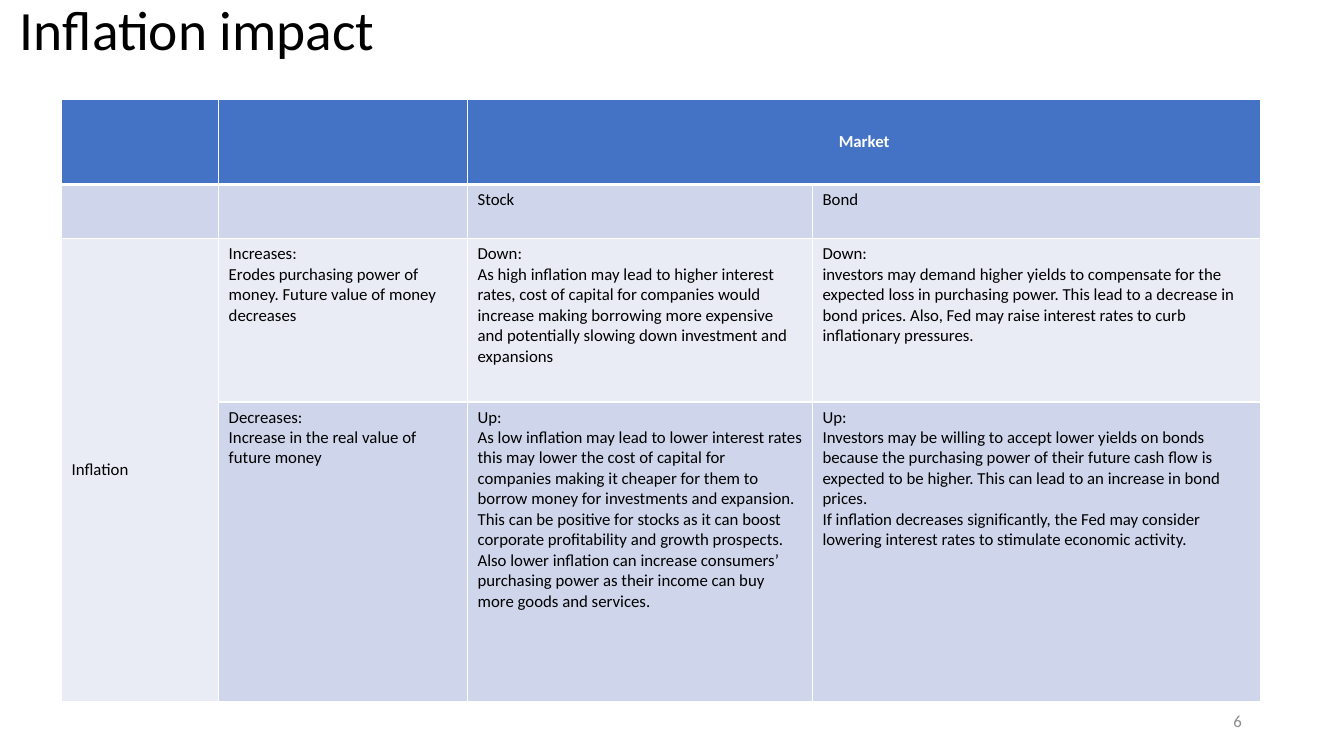
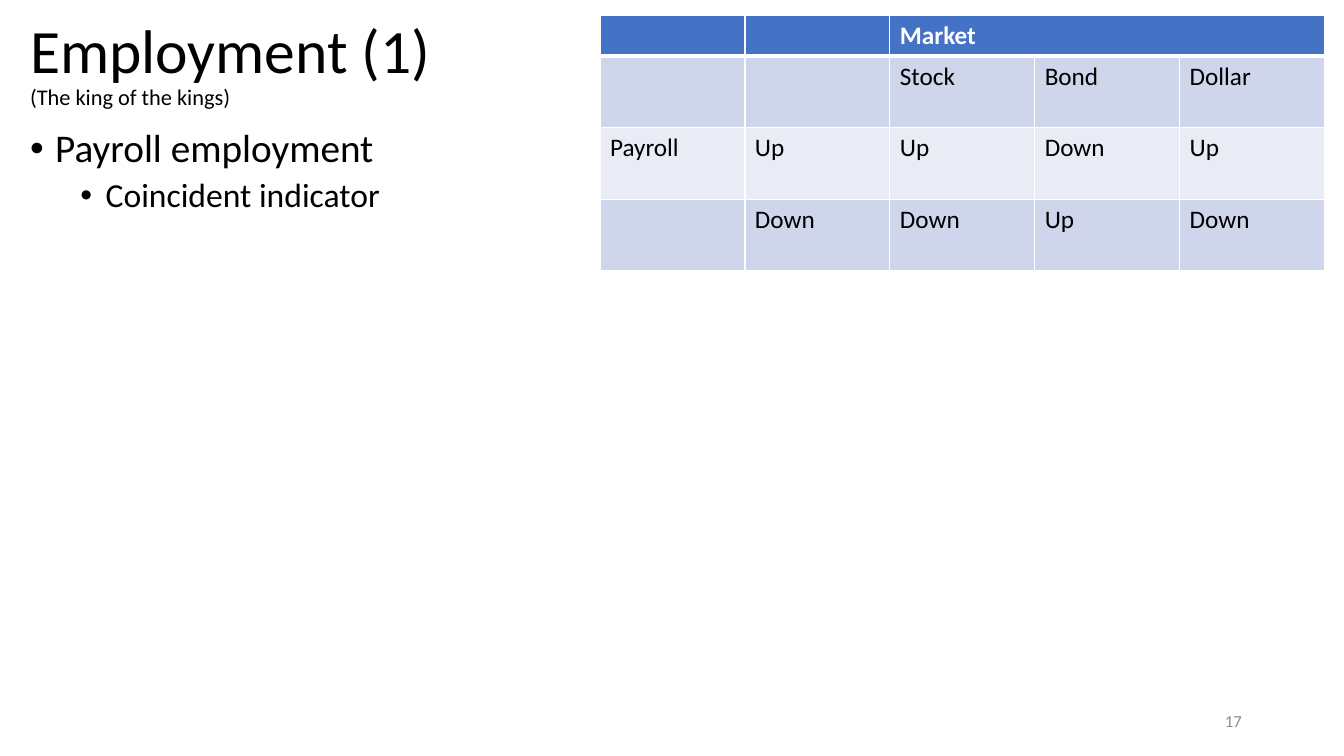
from lxml.etree import SubElement
from pptx import Presentation
from pptx.dml.color import RGBColor
from pptx.enum.text import MSO_ANCHOR, PP_ALIGN
from pptx.oxml.ns import qn
from pptx.util import Pt


class Deck:
    """Holds the shared style and the slide being built."""

    font = "Calibri"
    tint = {"ink": "000000", "paper": "FFFFFF", "head": "4472C4",
            "dark": "CFD5EA", "light": "E9EBF5", "grey": "8C8C8C"}

    def __init__(self):
        self.deck = Presentation()
        self.deck.slide_width, self.deck.slide_height = Pt(960), Pt(540)
        self.slide = None

    def start(self, page):
        self.slide = self.deck.slides.add_slide(self.deck.slide_layouts[6])
        frame = self.box(678.2, 500.4, 216, 28.8, MSO_ANCHOR.MIDDLE)
        para = frame.paragraphs[0]
        para.alignment = PP_ALIGN.RIGHT
        self.run(para, page, 12, "grey")

    def box(self, left, top, width, height, anchor):
        shape = self.slide.shapes.add_textbox(Pt(left), Pt(top), Pt(width), Pt(height))
        frame = shape.text_frame
        frame.word_wrap = True
        frame.vertical_anchor = anchor
        return frame

    def run(self, para, text, size, tone="ink", bold=False):
        run = para.add_run()
        run.text = text
        run.font.name, run.font.size, run.font.bold = self.font, Pt(size), bold
        run.font.color.rgb = RGBColor.from_string(self.tint[tone])

    def title(self, text, size, place, sub=None):
        para = self.box(*place, MSO_ANCHOR.MIDDLE).paragraphs[0]
        para.line_spacing = 0.9
        self.run(para, text, size)
        if sub:
            para.add_line_break()
            self.run(para, sub, 16)

    def bullets(self, items, place):
        frame = self.box(*place, MSO_ANCHOR.TOP)
        for rank, (text, level, size) in enumerate(items):
            para = frame.add_paragraph() if rank else frame.paragraphs[0]
            para.level = level
            props = para._p.get_or_add_pPr()
            props.set("marL", str(Pt(18 + 36 * level)))
            props.set("indent", str(Pt(-18)))
            SubElement(props, qn("a:buFont"), typeface="Arial")
            SubElement(props, qn("a:buChar"), char="•")
            para.line_spacing = 0.9
            if rank:
                para.space_before = Pt(5)
            self.run(para, text, size)

    def edges(self, cell, row):
        props = cell._tc.get_or_add_tcPr()
        thick = {("B", 0), ("T", 1)}
        for side in "LRTB":
            width = Pt(3 if (side, row) in thick else 1)
            line = SubElement(props, qn("a:ln" + side), w=str(width))
            fill = SubElement(line, qn("a:solidFill"))
            SubElement(fill, qn("a:srgbClr"), val=self.tint["paper"])

    def table(self, rows, left, top, wide, high, size, spans, mid=()):
        shape = self.slide.shapes.add_table(
            len(high), len(wide), Pt(left), Pt(top), Pt(sum(wide)), Pt(sum(high)))
        grid = shape.table
        grid.first_row = grid.horz_banding = False
        for col, width in zip(grid.columns, wide):
            col.width = Pt(width)
        for line, height in zip(grid.rows, high):
            line.height = Pt(height)
        for y, texts in enumerate(rows):
            tone = "head" if y == 0 else "dark" if y % 2 else "light"
            for x, text in enumerate(texts):
                cell = grid.cell(y, x)
                self.edges(cell, y)
                cell.fill.solid()
                cell.fill.fore_color.rgb = RGBColor.from_string(self.tint[tone])
                if (y, x) in mid:
                    cell.vertical_anchor = MSO_ANCHOR.MIDDLE
                self.words(cell.text_frame, text, size, y == 0)
        for first, last in spans:
            grid.cell(*first).merge(grid.cell(*last))
        return grid

    def words(self, frame, text, size, head):
        for rank, part in enumerate(text.split("\n") if text else []):
            para = frame.add_paragraph() if rank else frame.paragraphs[0]
            self.run(para, part, size, "paper" if head else "ink", head)


def prices(deck):
    deck.start("6")
    deck.title("Inflation impact", 39.6, (7.2, 5, 828, 36))
    rows = [
        ["", "", "Market", ""],
        ["", "", "Stock", "Bond"],
        ["Inflation",
         "Increases:\nErodes purchasing power of money. Future value of money decreases",
         "Down:\nAs high inflation may lead to higher interest rates, cost of capital "
         "for companies would increase making borrowing more expensive and potentially "
         "slowing down investment and expansions",
         "Down:\ninvestors may demand higher yields to compensate for the expected loss "
         "in purchasing power. This lead to a decrease in bond prices. Also, Fed may "
         "raise interest rates to curb inflationary pressures."],
        ["",
         "Decreases:\nIncrease in the real value of future money",
         "Up:\nAs low inflation may lead to lower interest rates this may lower the cost "
         "of capital for companies making it cheaper for them to borrow money for "
         "investments and expansion. This can be positive for stocks as it can boost "
         "corporate profitability and growth prospects. Also lower inflation can "
         "increase consumers’ purchasing power as their income can buy more goods and "
         "services.",
         "Up:\nInvestors may be willing to accept lower yields on bonds because the "
         "purchasing power of their future cash flow is expected to be higher. This can "
         "lead to an increase in bond prices.\nIf inflation decreases significantly, "
         "the Fed may consider lowering interest rates to stimulate economic activity."],
    ]
    grid = deck.table(rows, 44, 71.3, [112.2, 177.8, 246.4, 320.2],
                      [60.5, 38.8, 116.6, 213.8], 12,
                      [((0, 2), (0, 3)), ((2, 0), (3, 0))], {(0, 2), (2, 0)})
    grid.cell(0, 2).text_frame.paragraphs[0].alignment = PP_ALIGN.CENTER


def jobs(deck):
    deck.start("17")
    deck.title("Employment (1)", 44, (14.4, 10.8, 372.2, 72), "(The king of the kings)")
    deck.bullets([("Payroll employment", 0, 28), ("Coincident indicator", 1, 24)],
                 (14.4, 88.6, 828, 342.7))
    rows = [
        ["", "", "Market", "", ""],
        ["", "", "Stock", "Bond", "Dollar"],
        ["Payroll", "Up", "Up", "Down", "Up"],
        ["", "Down", "Down", "Up", "Down"],
    ]
    deck.table(rows, 428.6, 10.8, [103.5] * 5, [29.2] + [51.2] * 3, 18,
               [((0, 2), (0, 4))])


def main():
    deck = Deck()
    prices(deck)
    jobs(deck)
    deck.deck.save("out.pptx")


if __name__ == "__main__":
    main()
